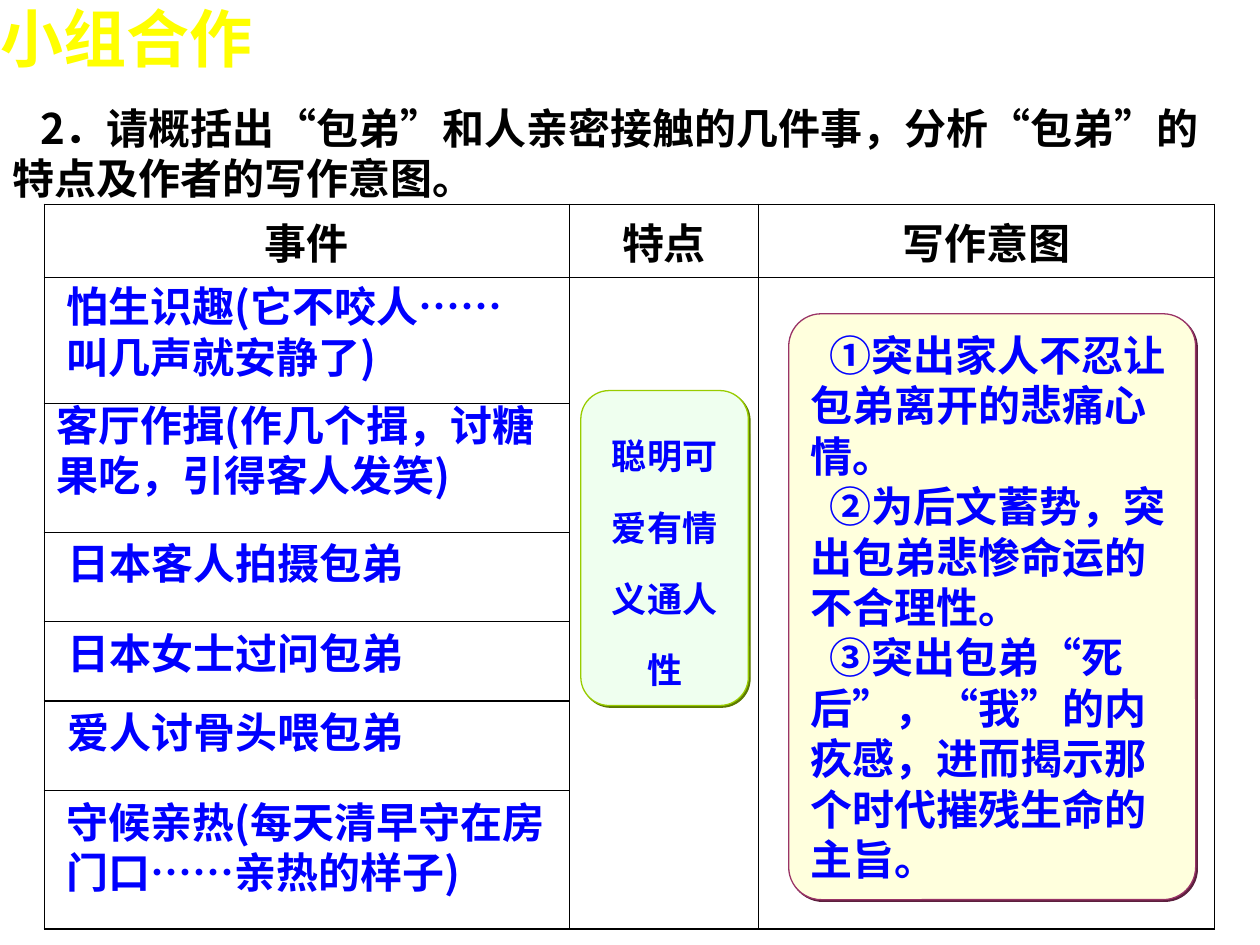
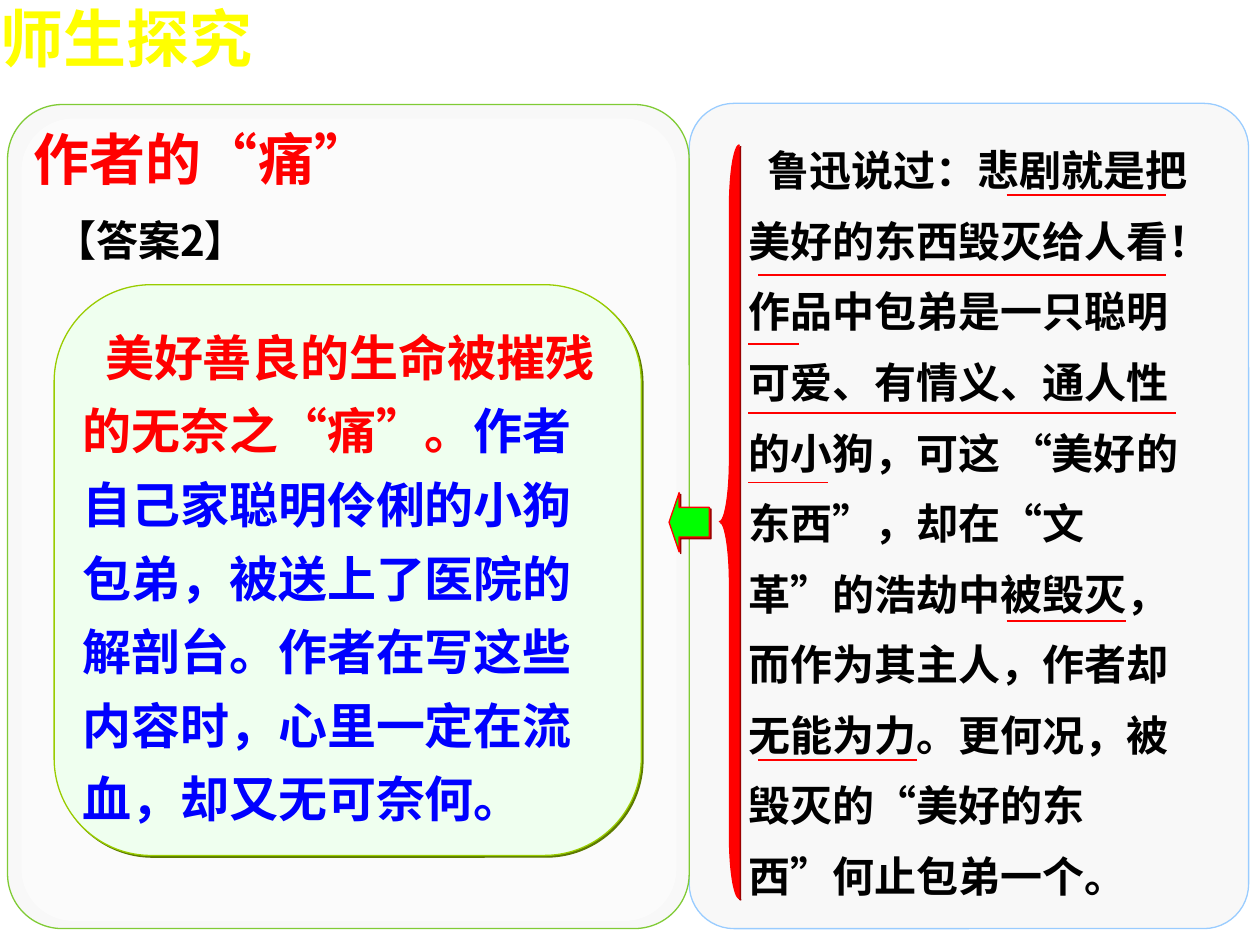
from dataclasses import dataclass
from itertools import product

from lxml import etree
from pptx import Presentation
from pptx import util as u
from pptx.dml import color as dml
from pptx.enum import shapes, text
from pptx.oxml import ns

PX = 9144
KIND = shapes.MSO_SHAPE
MID = text.MSO_ANCHOR.MIDDLE
TOP = text.MSO_ANCHOR.TOP
CENTER = text.PP_ALIGN.CENTER


@dataclass(frozen=True)
class Theme:
    head: str = "Arial"
    body: str = "Noto Sans CJK SC"
    black: str = "000000"
    white: str = "FFFFFF"
    gray: str = "808080"
    yellow: str = "FFFF00"
    blue: str = "0000FF"
    red: str = "FF0000"
    green: str = "00FF00"
    mint: str = "EFFFEF"
    lime: str = "99CC00"
    olive: str = "5C7A00"
    cream: str = "FFFFDD"
    plum: str = "993366"
    wine: str = "5C1F3D"
    brick: str = "990000"
    pale: str = "F8F8F8"
    sky: str = "99CCFF"
    leaf: str = "80CB35"
    title: int = 36
    large: int = 32
    mid: int = 28
    base: int = 24
    small: int = 20
    hair: float = 0.75
    rule: float = 1


T = Theme()


def px(*nums):
    return [n * PX for n in nums]


def rgb(code):
    return dml.RGBColor.from_string(code)


def put(item, **form):
    for name, value in form.items():
        setattr(item, name, value)


def node(host, tag, **attrs):
    return etree.SubElement(host, ns.qn(tag), {k: str(v) for k, v in attrs.items()})


def shade(host, code, dist=17780):
    fx = node(host, "a:effectLst")
    drop = node(fx, "a:outerShdw", blurRad=0, dist=dist, dir=2700000, algn="tl", rotWithShape=0)
    node(drop, "a:srgbClr", val=code)
    return fx


def write(frame, paras, size=T.base, font=T.body, color=T.black, align=None,
          indent=0, lead=None, shadow=False):
    for i, runs in enumerate(paras):
        para = frame.paragraphs[0] if i == 0 else frame.add_paragraph()
        put(para, alignment=align, line_spacing=lead)
        if indent:
            props = para._p.get_or_add_pPr()
            props.set("marL", "0")
            props.set("indent", str(indent * PX))
        for words, tint in [(runs, color)] if isinstance(runs, str) else runs:
            run = para.add_run()
            run.text = words
            put(run.font, size=u.Pt(size), bold=True, name=font)
            run.font.color.rgb = rgb(tint)
            props = run._r.get_or_add_rPr()
            props.set("lang", "zh-CN")
            props.find(ns.qn("a:latin")).addnext(node(props, "a:ea", typeface=T.body))
            if shadow:
                props.find(ns.qn("a:solidFill")).addnext(shade(props, T.gray))


def fit(frame, pad=(10, 5), anchor=TOP, wrap=True):
    side, edge = px(*pad)
    put(frame, margin_left=side, margin_right=side, margin_top=edge, margin_bottom=edge,
        vertical_anchor=anchor, word_wrap=wrap, auto_size=text.MSO_AUTO_SIZE.NONE)


def label(slide, box, paras, pad=(10, 5), anchor=TOP, wrap=True, **form):
    frame = slide.shapes.add_textbox(*px(*box)).text_frame
    fit(frame, pad, anchor, wrap)
    write(frame, paras, shadow=True, **form)


def title(slide, words):
    label(slide, (0, 0, 335, 60), [words], pad=(0, 0), size=T.title,
          font=T.head, color=T.yellow)


def shape(slide, kind, box, fill, line=None, drop=None, adj=(), alpha=None):
    item = slide.shapes.add_shape(kind, *px(*box))
    item.shadow.inherit = False
    for i, value in enumerate(adj):
        item.adjustments[i] = value
    item.fill.solid()
    item.fill.fore_color.rgb = rgb(fill)
    if alpha:
        tint = item._element.spPr.find(ns.qn("a:solidFill"))[0]
        node(tint, "a:alpha", val=alpha * 1000)
    if line:
        item.line.color.rgb = rgb(line)
        item.line.width = u.Pt(T.hair)
    else:
        item.line.fill.background()
    if drop:
        props = item._element.spPr
        old = props.find(ns.qn("a:effectLst"))
        props.replace(old, shade(props, drop))
    return item


def card(slide, box, paras, fill, line, drop, curve, pad=(10, 5), **form):
    item = shape(slide, KIND.ROUNDED_RECTANGLE, box, fill, line, drop, [curve])
    fit(item.text_frame, pad, MID)
    write(item.text_frame, paras, **{"align": text.PP_ALIGN.LEFT, **form})


def stroke(slide, left, right, y):
    line = slide.shapes.add_connector(shapes.MSO_CONNECTOR.STRAIGHT, *px(left, y, right, y))
    line.line.color.rgb = rgb(T.red)
    line.line.width = u.Pt(T.rule)
    node(line._element.spPr, "a:effectLst")


def border(cell):
    props = cell._tc.get_or_add_tcPr()
    for i, side in enumerate(("a:lnL", "a:lnR", "a:lnT", "a:lnB")):
        edge = etree.Element(ns.qn(side), w=str(u.Pt(T.hair)))
        node(node(edge, "a:solidFill"), "a:srgbClr", val=T.black)
        props.insert(i, edge)


def grid(slide, left, top, cols, rows, heads):
    box = px(left, top, sum(cols), sum(rows))
    table = slide.shapes.add_table(len(rows), len(cols), *box).table
    put(table, first_row=False, horz_banding=False)
    for col, wide in zip(table.columns, cols):
        col.width = wide * PX
    for row, high in zip(table.rows, rows):
        row.height = high * PX
    for r, c in product(range(len(rows)), range(len(cols))):
        cell = table.cell(r, c)
        cell.fill.background()
        border(cell)
    for c, head in enumerate(heads):
        cell = table.cell(0, c)
        cell.vertical_anchor = MID
        write(cell.text_frame, [head], align=CENTER)
        if c:
            table.cell(1, c).merge(table.cell(len(rows) - 1, c))


def group(slide):
    title(slide, "小组合作")
    label(slide, (0, 76, 988, 90),
          ["2．请概括出“包弟”和人亲密接触的几件事，分析“包弟”的特点及作者的写作意图。"],
          anchor=MID, indent=22)
    grid(slide, 35, 162, (417, 150, 362), (50, 100, 102, 71, 63, 71, 110),
         ("事件", "特点", "写作意图"))
    events = (
        (43, 218, 394, "怕生识趣(它不咬人……叫几声就安静了)"),
        (35, 312, 409, "客厅作揖(作几个揖，讨糖果吃，引得客人发笑)"),
        (44, 422, 286, "日本客人拍摄包弟"),
        (44, 493, 286, "日本女士过问包弟"),
        (44, 556, 286, "爱人讨骨头喂包弟"),
        (43, 627, 402, "守候亲热(每天清早守在房门口……亲热的样子)"),
    )
    for left, top, wide, words in events:
        long = wide > 300
        label(slide, (left, top, wide, 90 if long else 50), [words],
              wrap=long, color=T.blue)
    card(slide, (461, 310, 133, 250), ["聪明可爱有情义通人性"], T.mint, T.lime, T.olive,
         0.17, size=T.small, color=T.blue, align=CENTER, lead=1.7)
    aims = ("①突出家人不忍让包弟离开的悲痛心情。",
            "②为后文蓄势，突出包弟悲惨命运的不合理性。",
            "③突出包弟“死后”，“我”的内疚感，进而揭示那个时代摧残生命的主旨。")
    card(slide, (626, 249, 323, 465), aims, T.cream, T.plum, T.wine, 0.08,
         color=T.blue, indent=15)


def probe(slide):
    rounded = KIND.ROUNDED_RECTANGLE
    shape(slide, rounded, (547, 82, 444, 655), T.pale, T.sky, adj=[0.08])
    label(slide, (594, 99, 362, 616),
          ["鲁迅说过：悲剧就是把美好的东西毁灭给人看！作品中包弟是一只聪明可爱、有情义、"
           "通人性的小狗，可这 “美好的东西”，却在“文革”的浩劫中被毁灭，而作为其主人，"
           "作者却无能为力。更何况，被毁灭的“美好的东西”何止包弟一个。"],
          pad=(0, 0), indent=15, lead=1.4)
    shape(slide, rounded, (6, 83, 541, 654), T.pale, T.leaf, adj=[0.08])
    shape(slide, rounded, (17, 94, 520, 637), T.white, adj=[0.08], alpha=50)
    title(slide, "师生探究")
    card(slide, (43, 226, 466, 453),
         [[("美好善良的生命被摧残的无奈之“痛”。", T.red),
           ("作者自己家聪明伶俐的小狗包弟，被送上了医院的解剖台。"
            "作者在写这些内容时，心里一定在流血，却又无可奈何。", T.blue)]],
         T.mint, T.lime, T.olive, 0.17, pad=(0, 0), size=T.mid, indent=18, lead=1.25)
    label(slide, (27, 99, 267, 53), ["作者的“痛”"], pad=(0, 0), wrap=False,
          size=T.large, color=T.red)
    shape(slide, KIND.LEFT_BRACE, (571, 115, 16, 598), T.red, T.red, T.brick, (3.12, 0.5))
    shape(slide, KIND.LEFT_ARROW, (531, 391, 32, 47), T.green, T.red, T.brick, (0.5, 0.25))
    marks = ((799, 925, 155), (602, 925, 218), (594, 634, 273), (594, 933, 328),
             (594, 657, 383), (799, 894, 493), (602, 728, 603))
    for mark in marks:
        stroke(slide, *mark)
    label(slide, (43, 170, 189, 40), ["【答案2】"], pad=(0, 0))


def main():
    deck = Presentation()
    put(deck, slide_width=1000 * PX, slide_height=750 * PX)
    for build in (group, probe):
        build(deck.slides.add_slide(deck.slide_layouts[6]))
    deck.save("out.pptx")


if __name__ == "__main__":
    main()
